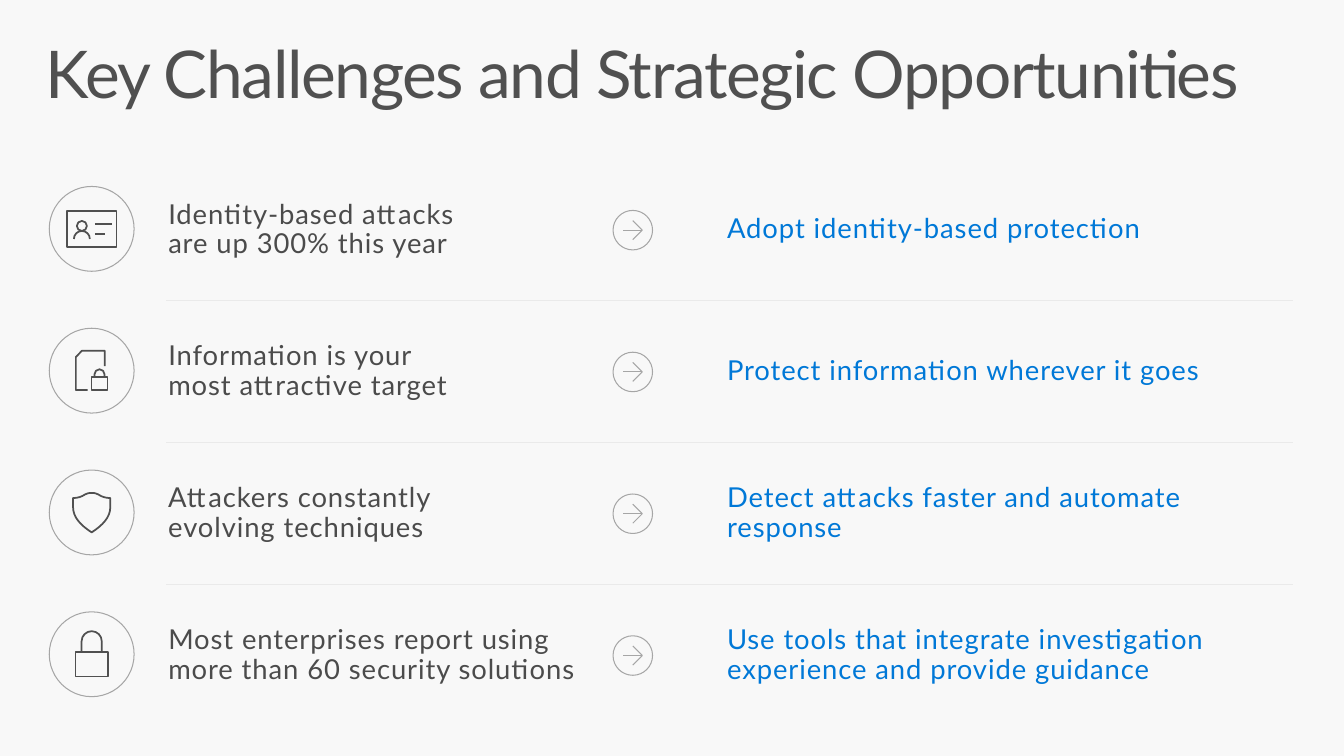
from itertools import islice
from math import cos, radians, sin

from lxml.etree import SubElement
from pptx import Presentation
from pptx.dml.color import RGBColor
from pptx.enum.shapes import MSO_CONNECTOR, MSO_SHAPE
from pptx.enum.text import MSO_ANCHOR, MSO_AUTO_SIZE
from pptx.oxml.ns import qn
from pptx.util import Pt

BACKDROP, INK, BODY, BLUE = "F8F8F8", "505050", "4B4B4B", "0078D7"
OUTLINE, DIVIDER = "A6A6A6", "EAEAEA"
FIRST_ROW, ROW_PITCH = 163.5, 101.28
FIRST_DIVIDER, DIVIDER_PITCH = 214.6, 101.4
BADGE_X, BADGE_RADIUS, ARROW_X = 65.5, 30.3, 452
LINE_HEIGHT = 20.9
QUARTER_HANDLE = 0.5523

TITLE_FRAME = {"word_wrap": True, "vertical_anchor": MSO_ANCHOR.TOP,
               "margin_left": Pt(11.5), "margin_right": Pt(11.5),
               "margin_top": Pt(7.2), "margin_bottom": Pt(7.2)}
ROW_FRAME = {"word_wrap": True, "vertical_anchor": MSO_ANCHOR.MIDDLE,
             "auto_size": MSO_AUTO_SIZE.SHAPE_TO_FIT_TEXT,
             "margin_left": Pt(14.4), "margin_right": Pt(14.4),
             "margin_top": Pt(3.6), "margin_bottom": Pt(3.6)}
TITLE_PARAGRAPH = {"line_spacing": 0.9}
ROW_PARAGRAPH = {"line_spacing": 0.9, "space_after": Pt(5.9)}
TITLE_FONT = {"name": "Lato", "size": Pt(47)}
ROW_FONT = {"name": "Lato", "size": Pt(19.6)}


def color(hex_string):
    """Return the colour for a hex string."""
    return RGBColor.from_string(hex_string)


def apply_format(target, values):
    """Set every attribute in values on target."""
    for attribute, value in values.items():
        setattr(target, attribute, value)


def straight(*points):
    """Return a stroke of straight sides."""
    return False, list(points)


def rectangle(left, top, right, bottom):
    """Return a closed rectangular stroke."""
    return straight((left, top), (right, top), (right, bottom), (left, bottom),
                    (left, top))


def arc(x, y, radius, start, quarters):
    """Return a curved stroke of quarter circles, clockwise from an angle."""
    points = []
    for quarter in range(quarters + 1):
        angle = radians(start + 90 * quarter)
        for handle in (-QUARTER_HANDLE, 0, QUARTER_HANDLE):
            points.append((round(x + radius * (cos(angle) - handle * sin(angle)), 2),
                           round(y + radius * (sin(angle) + handle * cos(angle)), 2)))
    return True, points[1:-1]


def identity_card():
    """Return the strokes of the identity card icon."""
    return [rectangle(-17.7, -13, 17.7, 13), straight((2.2, -3.6), (14.4, -3.6)),
            straight((2.2, 3.6), (9.4, 3.6)), arc(-7, -2.1, 3.6, 0, 4),
            arc(-7, 7.2, 5.7, 180, 2)]


def padlock(x, top, bottom, half_width, shackle_radius, shackle_y):
    """Return the strokes of a padlock."""
    _, bow = arc(x, shackle_y, shackle_radius, 180, 2)
    left_foot, right_foot = (x - shackle_radius, top), (x + shackle_radius, top)
    shackle = [left_foot] + 3 * bow[:1] + bow[1:] + 3 * [right_foot]
    return [rectangle(x - half_width, top, x + half_width, bottom), (True, shackle)]


def locked_document():
    """Return the strokes of the locked document icon."""
    page = straight((-2.9, 13.9), (-11.3, 13.9), (-11.3, -9.8), (-7, -14.2),
                    (9.4, -14.2), (9.4, -3.3))
    return [page, *padlock(5.6, 4.6, 13.9, 5.7, 3.6, 2.6)]


def shield():
    """Return the mirrored outline of the shield icon."""
    half = [(0, -14), (1.5, -14), (3.4, -13.8), (4.5, -13),
            (7.2, -11.2), (10, -10.3), (13.3, -10.3),
            (13.3, -3.8), (13.3, -3.8), (13.3, -3.8),
            (13.3, 3.4), (7.9, 9.1), (0, 14.2)]
    return [(True, half + [(-x, y) for x, y in half[-2::-1]])]


def arrow_in_ring():
    """Return the strokes of the ringed arrow."""
    return [arc(0, 0, 14.1, 180, 4), straight((0, 6.8), (6.8, 0), (0, -6.8)),
            straight((6.8, 0), (-7.3, 0))]


def bend(shape, strokes):
    """Turn each three sides of the curved strokes into one cubic curve."""
    outline = shape._element.find(".//" + qn("a:path"))
    sides = iter(outline.findall(qn("a:lnTo")))
    for curved, points in strokes:
        triples = zip(*[islice(sides, len(points) - 1)] * 3) if curved else ()
        for first, second, third in triples:
            first.tag = qn("a:cubicBezTo")
            first.extend([second[0], third[0]])
            outline.remove(second)
            outline.remove(third)
        if not curved:
            list(islice(sides, len(points) - 1))


def style_outline(shape, fill, line, width):
    """Give a shape its fill and line, without shadow."""
    shape.shadow.inherit = False
    if fill:
        shape.fill.solid()
        shape.fill.fore_color.rgb = color(fill)
    else:
        shape.fill.background()
    shape.line.color.rgb = color(line)
    shape.line.width = Pt(width)


def add_icon(slide, strokes, x, y, fill, line, width):
    """Draw strokes around a centre as one outline."""
    builder = None
    for _, points in strokes:
        start, *rest = [(Pt(x + dx), Pt(y + dy)) for dx, dy in points]
        if builder is None:
            builder = slide.shapes.build_freeform(*start, scale=1.0)
        else:
            builder.move_to(*start)
        builder.add_line_segments(rest, close=points[0] == points[-1])
    icon = builder.convert_to_shape()
    bend(icon, strokes)
    style_outline(icon, fill, line, width)


def add_badge(slide, y):
    """Draw the circle behind a row icon."""
    size = Pt(2 * BADGE_RADIUS)
    badge = slide.shapes.add_shape(MSO_SHAPE.OVAL, Pt(BADGE_X - BADGE_RADIUS),
                                   Pt(y - BADGE_RADIUS), size, size)
    style_outline(badge, BACKDROP, OUTLINE, 0.75)


def add_divider(slide, y):
    """Draw the rule between two rows."""
    divider = slide.shapes.add_connector(MSO_CONNECTOR.STRAIGHT, Pt(118.8), Pt(y),
                                         Pt(923.8), Pt(y))
    divider.line.color.rgb = color(DIVIDER)
    divider.line.width = Pt(1)
    SubElement(divider._element.spPr, qn("a:effectLst"))


def add_text(slide, text, box, frame_format, paragraph_format, font, ink, tracking):
    """Add one formatted paragraph in a text box."""
    frame = slide.shapes.add_textbox(*map(Pt, box)).text_frame
    apply_format(frame, frame_format)
    paragraph = frame.paragraphs[0]
    paragraph.text = text
    apply_format(paragraph, paragraph_format)
    for run in paragraph.runs:
        apply_format(run.font, font)
        run.font.color.rgb = color(ink)
        run._r.get_or_add_rPr().set("spc", str(tracking))


def add_row_text(slide, text, left, width, y, lines, ink):
    """Add row text centred on the row."""
    height = lines * LINE_HEIGHT + 7.9
    add_text(slide, text, (left, y + 0.8 - height / 2, width, height),
             ROW_FRAME, ROW_PARAGRAPH, ROW_FONT, ink, 68)


def main():
    """Build and save the slide."""
    deck = Presentation()
    deck.slide_width, deck.slide_height = Pt(960), Pt(540)
    slide = deck.slides.add_slide(deck.slide_layouts[6])
    slide.background.fill.solid()
    slide.background.fill.fore_color.rgb = color(BACKDROP)
    add_text(slide, "Key Challenges and Strategic Opportunities",
             (20.9, 22.5, 918, 70.6), TITLE_FRAME, TITLE_PARAGRAPH, TITLE_FONT, INK, -100)

    rows = [
        (identity_card(), "Identity-based attacks \nare up 300% this year", 359.3,
         "Adopt identity-based protection", 1),
        (locked_document(), "Information is your \nmost attractive target", 359.3,
         "Protect information wherever it goes", 1),
        (shield(), "Attackers constantly evolving techniques", 275.8,
         "Detect attacks faster and automate response", 2),
        (padlock(0, -1.4, 15.9, 11.5, 7.2, -9.3),
         "Most enterprises report using \nmore than 60 security solutions", 359.3,
         "Use tools that integrate investigation experience and provide guidance", 2),
    ]
    for index, (icon, challenge, width, opportunity, lines) in enumerate(rows):
        y = FIRST_ROW + index * ROW_PITCH
        if index:
            add_divider(slide, FIRST_DIVIDER + (index - 1) * DIVIDER_PITCH)
        add_badge(slide, y)
        add_icon(slide, icon, BADGE_X, y, None, INK, 1.25)
        add_row_text(slide, challenge, 105.8, width, y, 2, BODY)
        add_icon(slide, arrow_in_ring(), ARROW_X, y + 0.9, BACKDROP, OUTLINE, 0.75)
        add_row_text(slide, opportunity, 505, 434.2, y, lines, BLUE)
    deck.save("out.pptx")


if __name__ == "__main__":
    main()
